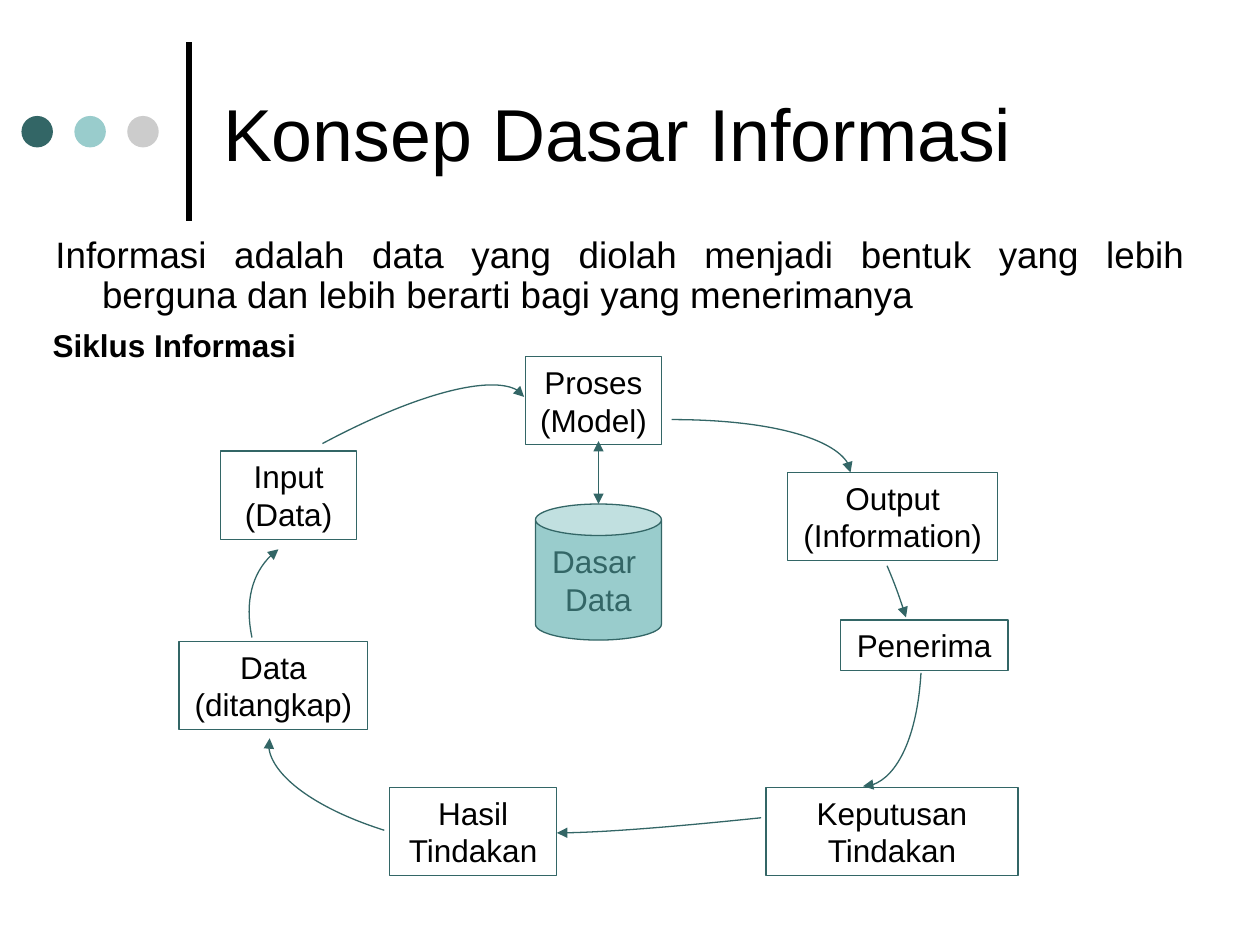
"""Build the slide on the basic concept of information and its cycle."""
import pptx
import pptx.util
import pptx.dml.color
import pptx.enum.shapes
import pptx.enum.text
import pptx.oxml.ns
import pptx.oxml.xmlchemy
from lxml import etree

PX = 9144
BLACK, TEAL, AQUA, GREY = "000000", "336666", "99CCCC", "CCCCCC"
qn = pptx.oxml.ns.qn
hex_color = pptx.dml.color.RGBColor.from_string
SHAPE = pptx.enum.shapes.MSO_SHAPE
STRAIGHT = pptx.enum.shapes.MSO_CONNECTOR.STRAIGHT
ALIGN = pptx.enum.text.PP_ALIGN
ANCHOR = pptx.enum.text.MSO_ANCHOR
FIT = pptx.enum.text.MSO_AUTO_SIZE


def write_text(shape, lines, size, color, align, frame_format, bold=False):
    frame = shape.text_frame
    for name, value in frame_format.items():
        setattr(frame, name, value)
    frame.text = "\n".join(lines)
    for para in frame.paragraphs:
        para.alignment = align
        para.space_before = pptx.util.Pt(0)
        for span in para.runs:
            font_format = {"name": "Arial", "size": pptx.util.Pt(size), "bold": bold}
            for name, value in font_format.items():
                setattr(span.font, name, value)
            span.font.color.rgb = hex_color(color)


def style_line(shape, color, width, ends=()):
    shape.line.color.rgb = hex_color(color)
    shape.line.width = pptx.util.Pt(width)
    outline = shape.line._get_or_add_ln()
    for end in ends:
        etree.SubElement(outline, qn(end), type="triangle")


deck = pptx.Presentation()
deck.slide_width, deck.slide_height = 1000 * PX, 750 * PX
page = deck.slides.add_slide(deck.slide_layouts[1])
shapes = page.shapes

lines = [
    ((150, 175, 150, 33), BLACK, 3, ()),
    ((475, 350, 475, 400), TEAL, 0.75, ("a:headEnd", "a:tailEnd")),
]
for ends_at, color, width, arrowheads in lines:
    line = shapes.add_connector(STRAIGHT, *[value * PX for value in ends_at])
    style_line(line, color, width, arrowheads)
    etree.SubElement(line.element.spPr, qn("a:effectLst"))

for index, color in enumerate([TEAL, AQUA, GREY]):
    dot = shapes.add_shape(SHAPE.OVAL, (17 + 42 * index) * PX, 92 * PX, 25 * PX, 25 * PX)
    dot.shadow.inherit = False
    dot.fill.solid()
    dot.fill.fore_color.rgb = hex_color(color)
    dot.line.fill.background()

title, body = page.placeholders
placements = [(title, (167, 21, 767, 167)), (body, (33, 183, 917, 75))]
for holder, place in placements:
    for name, value in zip(("left", "top", "width", "height"), place):
        setattr(holder, name, value * PX)
write_text(title, ["Konsep Dasar Informasi"], 42, BLACK, ALIGN.LEFT,
           {"vertical_anchor": ANCHOR.MIDDLE, "auto_size": FIT.NONE})
definition = ("Informasi adalah data yang diolah menjadi bentuk yang lebih "
              "berguna dan lebih berarti bagi yang menerimanya")
write_text(body, [definition], 21, BLACK, ALIGN.JUSTIFY,
           {"vertical_anchor": ANCHOR.TOP, "auto_size": FIT.NONE})
para = body.text_frame.paragraphs[0]
para.line_spacing = 0.9
properties = para._p.get_or_add_pPr()
properties.set("marL", str(38 * PX))
properties.set("indent", str(-37 * PX))
etree.SubElement(properties, qn("a:buNone"))

heading = shapes.add_textbox(32 * PX, 254 * PX, 213 * PX, 40 * PX)
write_text(heading, ["Siklus Informasi"], 18, BLACK, ALIGN.LEFT,
           {"word_wrap": False, "auto_size": FIT.SHAPE_TO_FIT_TEXT}, bold=True)

steps = [
    ("Proses (Model)", 417, 283, 108, 70),
    ("Input (Data)", 175, 358, 108, 70),
    ("Data (ditangkap)", 142, 509, 150, 70),
    ("Hasil Tindakan", 309, 625, 133, 70),
    ("Output (Information)", 625, 375, 167, 70),
    ("Penerima", 667, 492, 133, 40),
    ("Keputusan Tindakan", 608, 625, 200, 70),
]
for label, *place in steps:
    box = shapes.add_shape(SHAPE.RECTANGLE, *[value * PX for value in place])
    box.shadow.inherit = False
    box.fill.background()
    style_line(box, TEAL, 0.75)
    write_text(box, [label], 18, BLACK, ALIGN.CENTER,
               {"word_wrap": True, "vertical_anchor": ANCHOR.TOP,
                "auto_size": FIT.SHAPE_TO_FIT_TEXT})

curves = [
    [(305, 659), (248, 641), (207, 608), (214, 586)],
    [(704, 449), (710, 463), (715, 477), (719, 490)],
    [(731, 534), (728, 585), (708, 625), (685, 624)],
    [(604, 649), (537, 656), (475, 661), (442, 661)],
    [(533, 333), (612, 333), (675, 352), (675, 375)],
    [(200, 506), (194, 477), (202, 449), (221, 436)],
    [(256, 352), (333, 311), (405, 294), (416, 315)],
]
for start, *controls in curves:
    builder = shapes.build_freeform(*start, scale=PX)
    builder.add_line_segments(controls, close=False)
    arrow = builder.convert_to_shape()
    arrow.shadow.inherit = False
    arrow.fill.background()
    style_line(arrow, TEAL, 0.75, ["a:tailEnd"])
    outline = next(arrow.element.iter(qn("a:path")))
    segments = outline.findall(qn("a:lnTo"))
    bezier = etree.SubElement(outline, qn("a:cubicBezTo"))
    for segment in segments:
        bezier.append(segment[0])
        outline.remove(segment)

store = shapes.add_shape(SHAPE.CAN, 425 * PX, 400 * PX, 100 * PX, 108 * PX)
store.adjustments[0] = 0.25
store.shadow.inherit = False
store.fill.solid()
store.fill.fore_color.rgb = hex_color(AQUA)
style_line(store, TEAL, 0.75)
write_text(store, ["Dasar ", "Data"], 18, TEAL, ALIGN.CENTER,
           {"word_wrap": False, "vertical_anchor": ANCHOR.MIDDLE})

deck.save("out.pptx")
